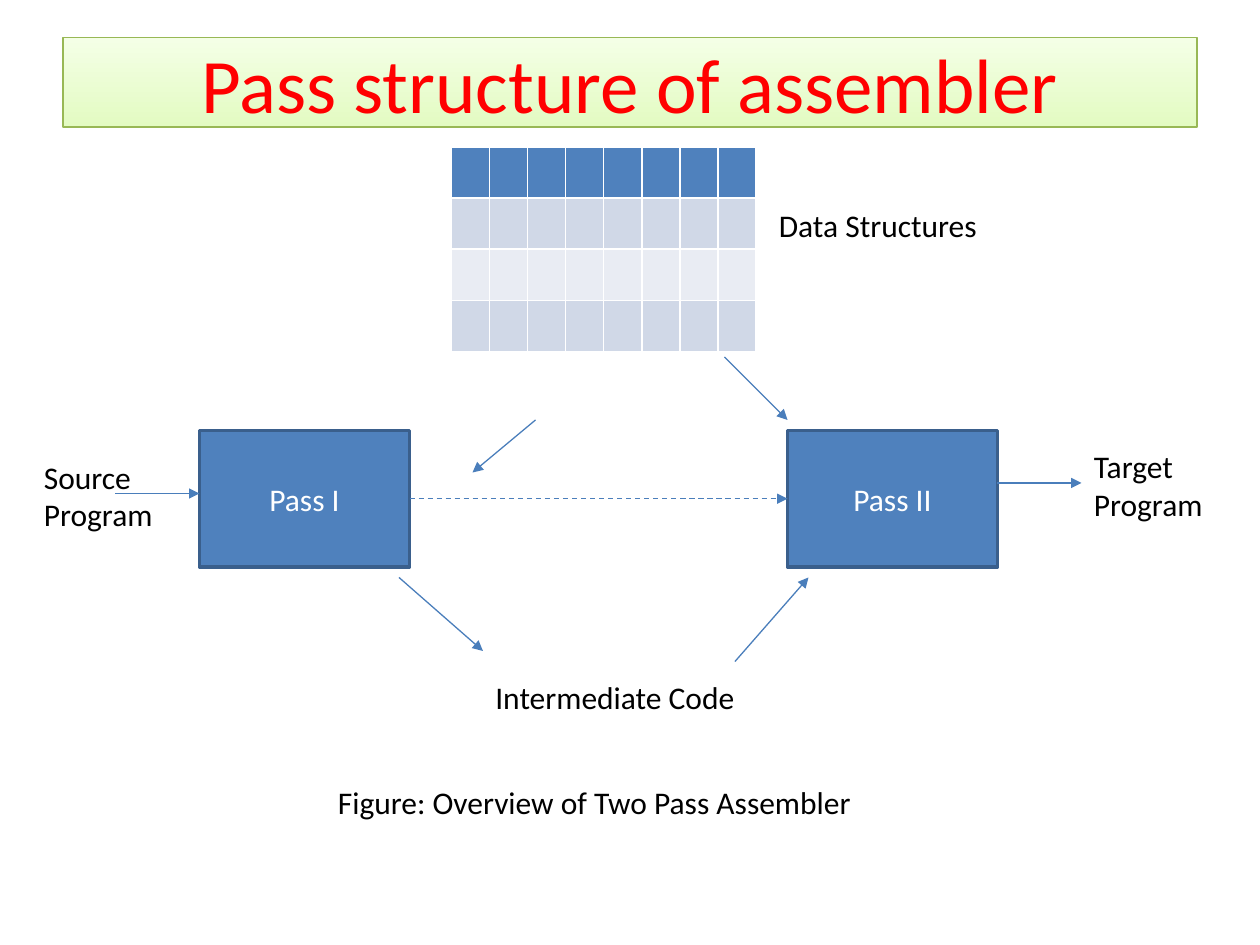
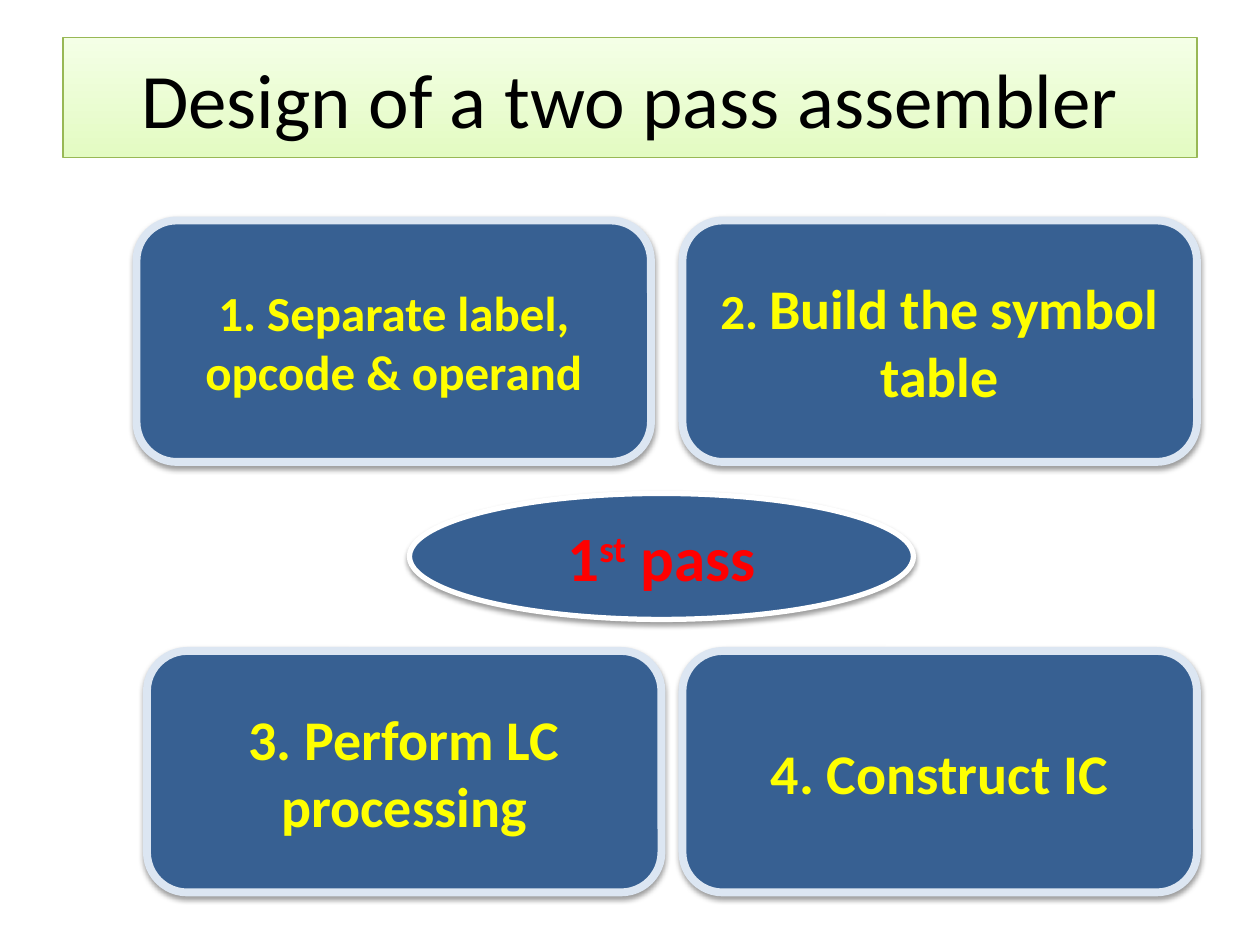
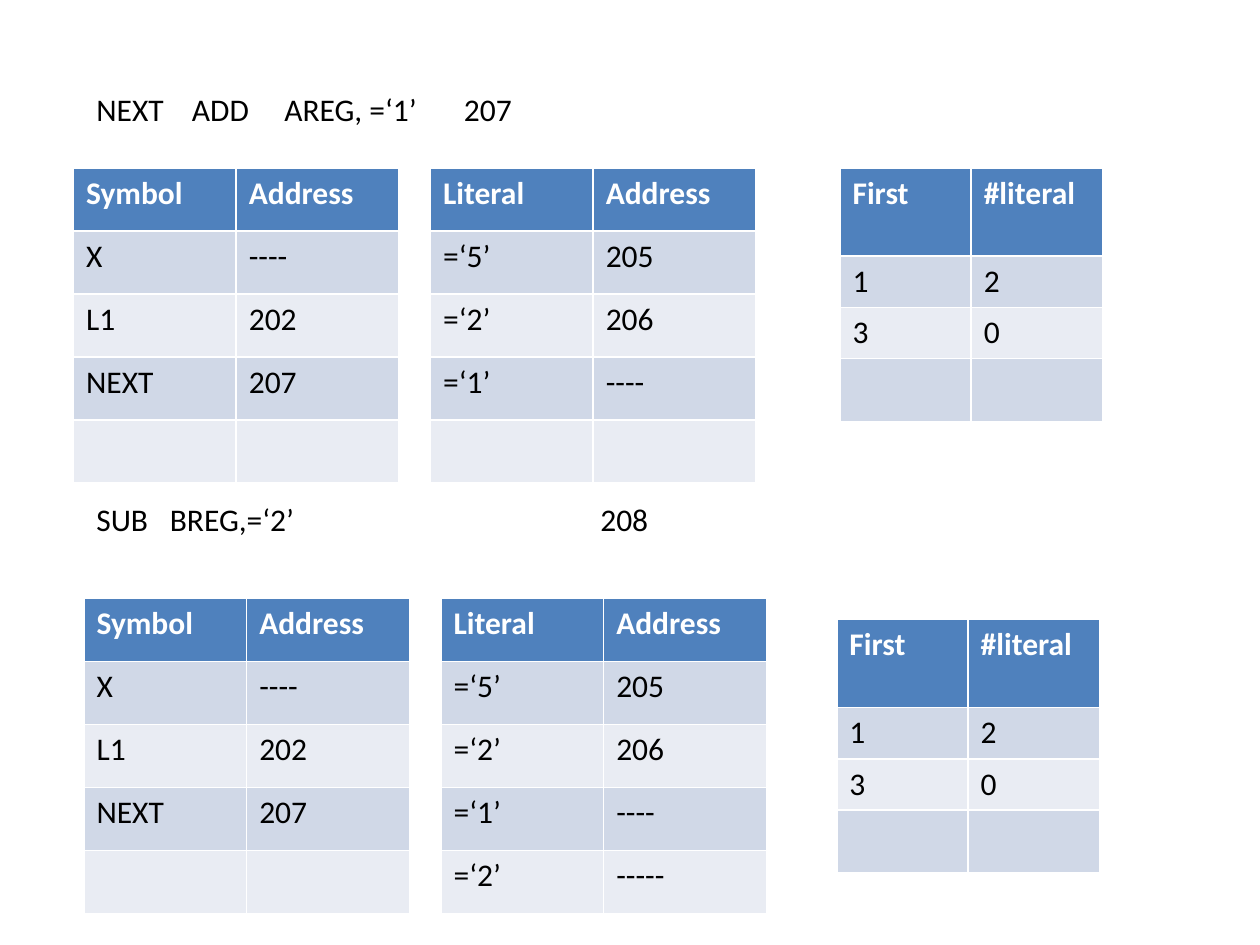
import dataclasses

import pptx
import pptx.dml.color
import pptx.enum.dml
import pptx.enum.shapes
import pptx.enum.text
import pptx.oxml
import pptx.oxml.ns
import pptx.util

SHAPE = pptx.enum.shapes.MSO_SHAPE
ALIGN = pptx.enum.text.PP_ALIGN
ANCHOR = pptx.enum.text.MSO_ANCHOR
GRID_COLUMNS = 120
SLIDE_WIDTH = pptx.util.Inches(10)
SLIDE_HEIGHT = pptx.util.Inches(7.5)
TITLE_ONLY, BLANK = 5, 6


@dataclasses.dataclass(frozen=True)
class Theme:
    """Fonts, colours and type sizes of the deck."""
    font: str = "Calibri"
    black: str = "000000"
    white: str = "FFFFFF"
    red: str = "FF0000"
    yellow: str = "FFFF00"
    blue: str = "4F81BD"
    blue_edge: str = "3A5F8C"
    arrow: str = "4A7EBB"
    navy: str = "376092"
    card_edge: str = "DCE6F2"
    title_bottom: str = "E3FBC2"
    title_top: str = "F4FFE6"
    title_edge: str = "98B855"
    bands: tuple = ("D0D8E7", "E9ECF3")
    title_size: int = 44
    oval_size: int = 36
    card_size: int = 32
    small_card_size: int = 28
    body_size: int = 18


THEME = Theme()


@dataclasses.dataclass(frozen=True)
class Box:
    """A rectangle measured in square grid units."""
    left: float
    top: float
    width: float
    height: float

    def inner(self, left, top, width, height):
        """Return a box placed relative to this one."""
        return Box(self.left + left, self.top + top, width, height)

    def lengths(self):
        """Return left, top, width and height as slide lengths."""
        return [grid(value) for value in dataclasses.astuple(self)]


def grid(units):
    """Turn grid units into a slide length."""
    return pptx.util.Emu(round(units * SLIDE_WIDTH / GRID_COLUMNS))


def color(value):
    """Turn a hex string into a colour."""
    return pptx.dml.color.RGBColor.from_string(value)


def add_xml(parent, tag, **attributes):
    """Append a DrawingML element and return it."""
    element = pptx.oxml.parse_xml(f"<a:{tag} {pptx.oxml.ns.nsdecls('a')}/>")
    for name, value in attributes.items():
        element.set(name, str(value))
    parent.append(element)
    return element


def write(frame, text, size=THEME.body_size, ink=THEME.black, bold=False,
          align=ALIGN.LEFT, anchor=ANCHOR.TOP, tabs=()):
    """Write a string, or (text, size, baseline) runs, as one paragraph."""
    frame.word_wrap = True
    frame.auto_size = pptx.enum.text.MSO_AUTO_SIZE.NONE
    frame.vertical_anchor = anchor
    paragraph = frame.paragraphs[0]
    paragraph.alignment = align
    if tabs:
        tab_list = add_xml(paragraph._p.get_or_add_pPr(), "tabLst")
        for tab in tabs:
            add_xml(tab_list, "tab", pos=grid(tab), algn="l")
    for content, run_size, baseline in [(text, size, 0)] if isinstance(text, str) else text:
        run = paragraph.add_run()
        run.text = content
        run.font.name = THEME.font
        run.font.size = pptx.util.Pt(run_size)
        run.font.bold = bold
        run.font.color.rgb = color(ink)
        if baseline:
            run.font._element.set("baseline", str(baseline * 1000))


def add_label(slide, box, text, **text_format):
    """Add a plain text box."""
    write(slide.shapes.add_textbox(*box.lengths()).text_frame, text, **text_format)


def add_panel(slide, box, kind, text, fill, edge, edge_width, shadow=False, **text_format):
    """Add a filled shape with centred text."""
    shape = slide.shapes.add_shape(kind, *box.lengths())
    shape.shadow.inherit = False
    shape.fill.solid()
    shape.fill.fore_color.rgb = color(fill)
    shape.line.color.rgb = color(edge)
    shape.line.width = pptx.util.Pt(edge_width)
    if shadow:
        effects = shape._element.spPr.find(pptx.oxml.ns.qn("a:effectLst"))
        outer = add_xml(effects, "outerShdw", blurRad=pptx.util.Pt(3.1),
                        dist=pptx.util.Pt(1.6), dir=90 * 60000, rotWithShape=0)
        add_xml(add_xml(outer, "srgbClr", val=THEME.black), "alpha", val=38000)
    write(shape.text_frame, text, align=ALIGN.CENTER, anchor=ANCHOR.MIDDLE, **text_format)
    return shape


def add_arrow(slide, box, start, end, dashed=False):
    """Add an arrow between two points of the box."""
    points = [grid(value) for x, y in (start, end) for value in (box.left + x, box.top + y)]
    arrow = slide.shapes.add_connector(pptx.enum.shapes.MSO_CONNECTOR.STRAIGHT, *points)
    arrow.line.color.rgb = color(THEME.arrow)
    arrow.line.width = pptx.util.Pt(0.75)
    if dashed:
        arrow.line.dash_style = pptx.enum.dml.MSO_LINE.DASH
    properties = arrow._element.spPr
    add_xml(properties.find(pptx.oxml.ns.qn("a:ln")), "tailEnd", type="triangle")
    add_xml(properties, "effectLst")
    return arrow


def add_banded_table(slide, box, rows, heights):
    """Add a table with a blue header and banded rows."""
    frame = slide.shapes.add_table(len(rows), len(rows[0]), *box.lengths())
    table = frame.table
    for column in table.columns:
        column.width = grid(box.width / len(rows[0]))
    for row_index, (values, height) in enumerate(zip(rows, heights)):
        table.rows[row_index].height = grid(height)
        header = row_index == 0
        for column_index, value in enumerate(values):
            cell = table.cell(row_index, column_index)
            cell.fill.solid()
            cell.fill.fore_color.rgb = color(
                THEME.blue if header else THEME.bands[(row_index - 1) % 2])
            if value:
                write(cell.text_frame, value, bold=header,
                      ink=THEME.white if header else THEME.black)


def set_title(slide, box, text, ink=THEME.black):
    """Place the title placeholder as a pale green band."""
    title = slide.shapes.title
    title.left, title.top, title.width, title.height = box.lengths()
    title.fill.gradient()
    title.fill.gradient_angle = 90
    for stop, value in zip(title.fill.gradient_stops, (THEME.title_bottom, THEME.title_top)):
        stop.color.rgb = color(value)
    title.line.color.rgb = color(THEME.title_edge)
    title.line.width = pptx.util.Pt(0.75)
    write(title.text_frame, text, size=THEME.title_size, ink=ink,
          align=ALIGN.CENTER, anchor=ANCHOR.MIDDLE)


def add_pass_diagram(slide, box):
    """Draw the two passes, their data and the arrows between them."""
    first_pass, second_pass = [
        add_panel(slide, box.inner(left, 27, 20, 13), SHAPE.RECTANGLE, text,
                  THEME.blue, THEME.blue_edge, 2, ink=THEME.white)
        for left, text in ((16, "Pass I"), (72, "Pass II"))]
    add_banded_table(slide, box.inner(40, 0, 29, 19.2), [[""] * 8] * 4, [4.8] * 4)
    for start, end in (((8, 33), (16, 33)), ((92, 32), (100, 32)),
                       ((48, 26), (42, 31)), ((66, 20), (72, 26)),
                       ((35, 41), (43, 48)), ((67, 49), (74, 41))):
        add_arrow(slide, box, start, end)
    link = add_arrow(slide, box, (36, 33.5), (72, 33.5), dashed=True)
    link.begin_connect(first_pass, 3)
    link.end_connect(second_pass, 1)
    for left, top, width, height, text in (
            (43, 50, 30, 8.4, "Intermediate Code"),
            (0, 29, 13, 12, "Source Program"),
            (100, 28, 13, 12, "Target Program"),
            (28, 60, 56, 8.4, "Figure: Overview of Two Pass Assembler"),
            (70, 5, 25, 8.4, "Data Structures")):
        add_label(slide, box.inner(left, top, width, height), text)


def add_step_cards(slide, box):
    """Draw four step cards around the oval that names the pass."""
    small, large = THEME.small_card_size, THEME.card_size
    for left, top, runs in (
            (0, 0, [("1. Separate label, opcode & operand", small, 0)]),
            (52, 0, [("2. ", small, 0), ("Build the symbol table", large, 0)]),
            (1, 41, [("3. Perform LC processing", large, 0)]),
            (52, 41, [("4. Construct IC", large, 0)])):
        add_panel(slide, box.inner(left, top, 49, 23), SHAPE.ROUNDED_RECTANGLE, runs,
                  THEME.navy, THEME.card_edge, 4.5, shadow=True,
                  ink=THEME.yellow, bold=True)
    size = THEME.oval_size
    add_panel(slide, box.inner(26, 26, 48, 12), SHAPE.OVAL,
              [("1", size, 0), ("st", size, 30), (" pass", size, 0)],
              THEME.navy, THEME.white, 3, shadow=True, ink=THEME.red, bold=True)


def add_assembler_tables(slide, box, last_literal, pool_left, pool_top):
    """Draw the symbol, literal and pool tables after one statement."""
    symbols = [("Symbol", "Address"), ("X", "----"), ("L1", "202"), ("NEXT", "207"), ("", "")]
    literals = [("Literal", "Address"), ("=‘5’", "205"), ("=‘2’", "206"),
                ("=‘1’", "----"), last_literal]
    pool = [("First", "#literal"), ("1", "2"), ("3", "0"), ("", "")]
    for left, rows in ((0, symbols), (34, literals)):
        add_banded_table(slide, box.inner(left, 0, 31, 30), rows, [6] * 5)
    add_banded_table(slide, box.inner(pool_left, pool_top, 25, 24), pool, [8.4, 4.8, 4.8, 6])


def build_structure_slide(presentation):
    """Build the slide on the pass structure."""
    slide = presentation.slides.add_slide(presentation.slide_layouts[TITLE_ONLY])
    set_title(slide, Box(6, 3.6, 108, 8.5), "Pass structure of assembler", THEME.red)
    add_pass_diagram(slide, Box(3, 14, 113, 69))


def build_design_slide(presentation):
    """Build the slide on the steps of the first pass."""
    slide = presentation.slides.add_slide(presentation.slide_layouts[TITLE_ONLY])
    set_title(slide, Box(6, 3.6, 108, 11.4), "Design of a two pass assembler")
    add_step_cards(slide, Box(13, 21, 101, 64))


def build_trace_slide(presentation):
    """Build the slide that traces two statements."""
    slide = presentation.slides.add_slide(presentation.slide_layouts[BLANK])
    add_label(slide, Box(8, 8, 34, 8.4), "NEXT\tADD\tAREG, =‘1’", tabs=(9.1, 17.9))
    add_label(slide, Box(43, 8, 16, 4.8), "207")
    add_assembler_tables(slide, Box(7, 16, 98, 30), ("", ""), 73, 0)
    add_label(slide, Box(8, 47, 66, 4.8), "SUB\tBREG,=‘2’\t208", tabs=(7, 48))
    add_assembler_tables(slide, Box(8, 57, 98, 30), ("=‘2’", "-----"), 71.7, 2)


def main():
    """Build and save the deck."""
    presentation = pptx.Presentation()
    presentation.slide_width = SLIDE_WIDTH
    presentation.slide_height = SLIDE_HEIGHT
    build_structure_slide(presentation)
    build_design_slide(presentation)
    build_trace_slide(presentation)
    presentation.save("out.pptx")


if __name__ == "__main__":
    main()
